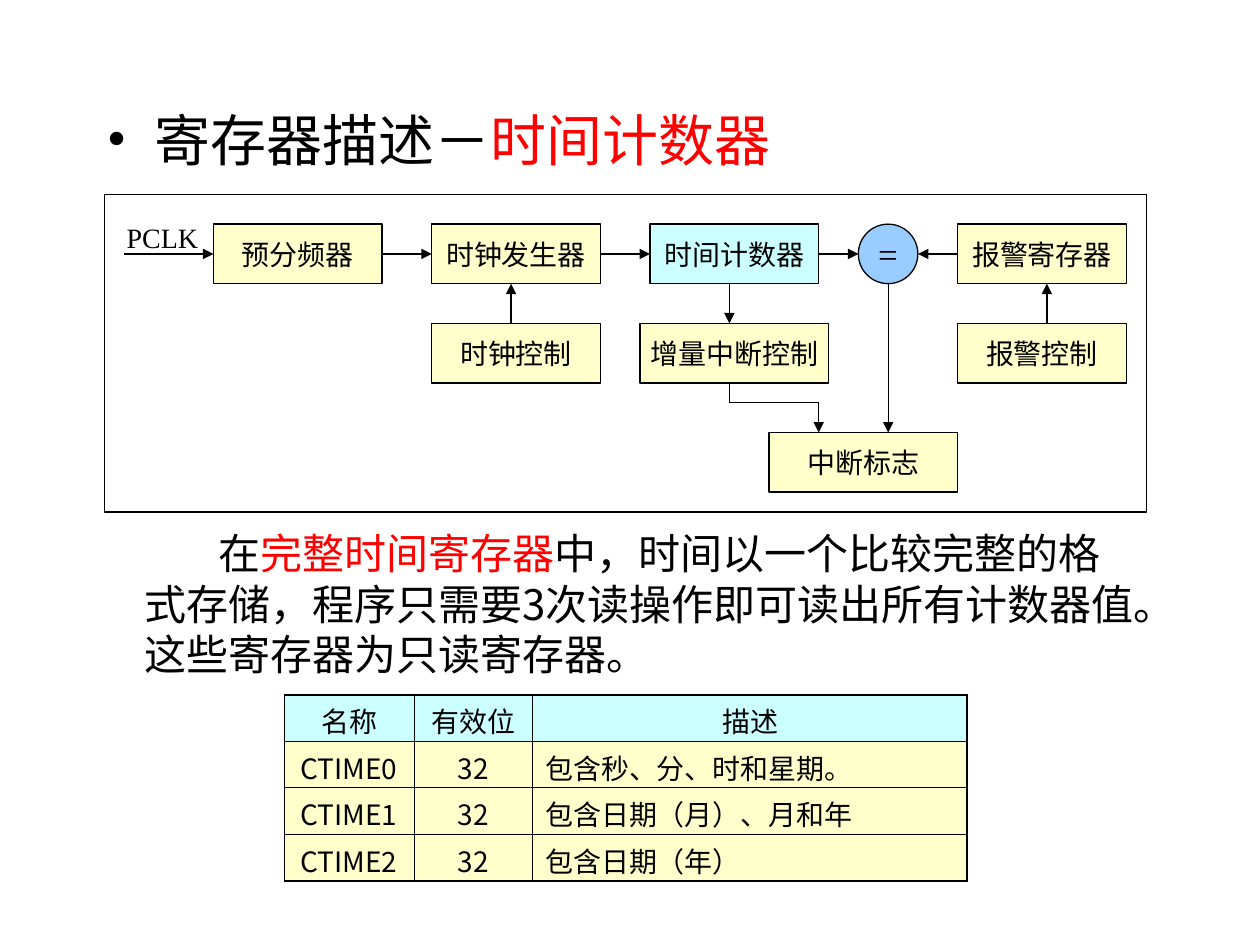
from lxml import etree
from pptx import Presentation
from pptx.dml.color import RGBColor
from pptx.enum.shapes import MSO_CONNECTOR, MSO_SHAPE
from pptx.enum.text import MSO_ANCHOR, PP_ALIGN
from pptx.oxml.ns import qn
from pptx.util import Pt

RECTANGLE, OVAL = MSO_SHAPE.RECTANGLE, MSO_SHAPE.OVAL
STRAIGHT = MSO_CONNECTOR.STRAIGHT
MIDDLE = MSO_ANCHOR.MIDDLE
LEFT, CENTER = PP_ALIGN.LEFT, PP_ALIGN.CENTER

BLACK = RGBColor(0x00, 0x00, 0x00)
RED = RGBColor(0xFF, 0x00, 0x00)
CREAM = RGBColor(0xFF, 0xFF, 0xCC)
CYAN = RGBColor(0xCC, 0xFF, 0xFF)
BLUE = RGBColor(0x99, 0xCC, 0xFF)

SERIF = "Times New Roman"
SANS = "Noto Sans CJK SC"
BODY = "Noto Sans CJK JP"

UNIT = 5.67  # diagram grid step in points
BOX_HEIGHT = 6
TOP_ROW, MIDDLE_ROW, BOTTOM_ROW = 3, 13, 24

# name: (text, column, row, width, fill), in grid steps
BLOCKS = {
    "prescaler": ("预分频器", 11, TOP_ROW, 17, CREAM),
    "clock": ("时钟发生器", 33, TOP_ROW, 17, CREAM),
    "clock control": ("时钟控制", 33, MIDDLE_ROW, 17, CREAM),
    "counter": ("时间计数器", 55, TOP_ROW, 17, CYAN),
    "increment": ("增量中断控制", 54, MIDDLE_ROW, 19, CREAM),
    "flag": ("中断标志", 67, BOTTOM_ROW, 19, CREAM),
    "alarm": ("报警寄存器", 86, TOP_ROW, 17, CREAM),
    "alarm control": ("报警控制", 86, MIDDLE_ROW, 17, CREAM),
}

ROWS = [
    ("名称", "有效位", "描述"),
    ("CTIME0", "32", "包含秒、分、时和星期。"),
    ("CTIME1", "32", "包含日期（月）、月和年"),
    ("CTIME2", "32", "包含日期（年）"),
]
COLUMN_WIDTHS = (74, 68, 248.3)


def add_span(para, text, size, font, color=BLACK, asian=SANS):
    span = para.add_run()
    span.text = text
    span.font.size = Pt(size)
    span.font.name = font
    span.font.color.rgb = color
    latin = span.font._element.find(qn("a:latin"))
    east = etree.Element(qn("a:ea"), typeface=asian)
    latin.addnext(east)


def add_text_box(page, left, top, width, height, top_inset=3.6):
    box = page.shapes.add_textbox(Pt(left), Pt(top), Pt(width), Pt(height))
    box.text_frame.word_wrap = True
    box.text_frame.margin_top = Pt(top_inset)
    return box.text_frame.paragraphs[0]


def add_block(page, kind, left, top, width, height, fill=None):
    box = page.shapes.add_shape(kind, Pt(left), Pt(top), Pt(width), Pt(height))
    box.shadow.inherit = False
    if fill is None:
        box.fill.background()
    else:
        box.fill.solid()
        box.fill.fore_color.rgb = fill
    box.line.color.rgb = BLACK
    box.line.width = Pt(0.75)
    return box


def label_block(box, text, size):
    frame = box.text_frame
    frame.word_wrap = False
    frame.vertical_anchor = MIDDLE
    frame.paragraphs[0].alignment = CENTER
    add_span(frame.paragraphs[0], text, size, SERIF)


def add_title(page, left, top, width, height):
    para = add_text_box(page, left, top, width, height, top_inset=7.5)
    para.line_spacing = Pt(38.4)
    props = para._p.get_or_add_pPr()
    props.set("marL", str(Pt(27)))
    props.set("indent", str(Pt(-27)))
    etree.SubElement(props, qn("a:buFont"), typeface=SERIF)
    etree.SubElement(props, qn("a:buChar"), char="•")
    add_span(para, "寄存器描述－", 32, SERIF)
    add_span(para, "时间计数器", 32, SERIF, RED)


def add_diagram(page, left, top, width, height):
    def x(step):
        return left + step * UNIT

    def y(step):
        return top + step * UNIT

    def add_line(start, end, arrow=True):
        line = page.shapes.add_connector(
            STRAIGHT, Pt(x(start[0])), Pt(y(start[1])), Pt(x(end[0])), Pt(y(end[1])))
        line.line.color.rgb = BLACK
        line.line.width = Pt(0.75)
        if arrow:
            etree.SubElement(line.line._get_or_add_ln(), qn("a:tailEnd"), type="triangle")
        etree.SubElement(line._element.spPr, qn("a:effectLst"))
        return line

    add_block(page, RECTANGLE, left, top, width, height)
    boxes = {}
    for name, (text, column, row, steps, fill) in BLOCKS.items():
        boxes[name] = add_block(page, RECTANGLE, x(column), y(row),
                                steps * UNIT, BOX_HEIGHT * UNIT, fill)
        label_block(boxes[name], text, 16)
    comparator = add_block(page, OVAL, x(76), y(TOP_ROW),
                           BOX_HEIGHT * UNIT, BOX_HEIGHT * UNIT, BLUE)
    label_block(comparator, "=", 20)

    # Signal path, joined to the rectangles it touches
    axis = TOP_ROW + BOX_HEIGHT / 2
    for source, site, target, start, end in (
            (None, None, "prescaler", 2, 11),
            ("prescaler", 3, "clock", 28, 33),
            ("clock", 3, "counter", 50, 55),
            ("counter", 3, None, 72, 76),
            ("alarm", 1, None, 86, 82)):
        line = add_line((start, axis), (end, axis))
        if source:
            line.begin_connect(boxes[source], site)
        if target:
            line.end_connect(boxes[target], 1)

    # Vertical arrows, slightly beside the middle of their boxes
    upper, lower = TOP_ROW + BOX_HEIGHT, MIDDLE_ROW
    add_line((41, lower), (41, upper))
    add_line((95, lower), (95, upper))
    add_line((63, upper), (63, lower))
    add_line((79, upper), (79, BOTTOM_ROW))

    bends = [(63, MIDDLE_ROW + BOX_HEIGHT), (63, 21), (72, 21), (72, BOTTOM_ROW)]
    for start, end in zip(bends, bends[1:]):
        add_line(start, end, arrow=end == bends[-1])

    para = add_text_box(page, x(1), y(2), 57, 26.6)
    add_span(para, "PCLK", 16, SERIF)


def add_description(page, left, top, width, height):
    para = add_text_box(page, left, top, width, height, top_inset=5.6)
    para.line_spacing = Pt(28.8)
    para._p.get_or_add_pPr().set("indent", str(Pt(42)))
    for text, color in (
            ("在", BLACK),
            ("完整时间寄存器", RED),
            ("中，时间以一个比较完整的格式存储，程序只需要3次读操作即可读出所有计数器值。"
             "这些寄存器为只读寄存器。", BLACK)):
        add_span(para, text, 24, BODY, color, asian=BODY)


def set_borders(cell, outer):
    """Rule all four sides, thicker on those named in outer."""
    props = cell._tc.get_or_add_tcPr()
    for position, side in enumerate("LRTB"):
        weight = Pt(1.08 if side in outer else 0.45)
        line = etree.Element(qn("a:ln" + side), w=str(weight))
        fill = etree.SubElement(line, qn("a:solidFill"))
        etree.SubElement(fill, qn("a:srgbClr"), val=str(BLACK))
        props.insert(position, line)


def add_register_table(page, left, top, width, height):
    last_row, last_column = len(ROWS) - 1, len(COLUMN_WIDTHS) - 1
    table = page.shapes.add_table(len(ROWS), len(COLUMN_WIDTHS), Pt(left), Pt(top),
                                  Pt(width), Pt(height)).table
    table.first_row = table.horz_banding = False
    for column, column_width in zip(table.columns, COLUMN_WIDTHS):
        column.width = Pt(column_width)
    for r, texts in enumerate(ROWS):
        for c, text in enumerate(texts):
            cell = table.cell(r, c)
            cell.fill.solid()
            cell.fill.fore_color.rgb = CYAN if r == 0 else CREAM
            cell.vertical_anchor = MIDDLE
            cell.margin_top, cell.margin_bottom = Pt(6.8), Pt(0)
            para = cell.text_frame.paragraphs[0]
            para.alignment = LEFT if r and c == last_column else CENTER
            para.line_spacing = Pt(19.2)
            add_span(para, text, 16, SANS)
            edges = {"T": r == 0, "B": r == last_row, "L": c == 0, "R": c == last_column}
            set_borders(cell, [side for side, is_outer in edges.items() if is_outer])


def main():
    deck = Presentation()
    deck.slide_width, deck.slide_height = Pt(720), Pt(540)
    page = deck.slides.add_slide(deck.slide_layouts[6])
    add_diagram(page, 59.6, 111.1, 105 * UNIT, 32 * UNIT)
    add_register_table(page, 162.5, 397, sum(COLUMN_WIDTHS), 106.4)
    add_description(page, 75.6, 296, 582, 93.6)
    add_title(page, 54, 52.6, 590, 48)
    deck.save("out.pptx")


if __name__ == "__main__":
    main()
